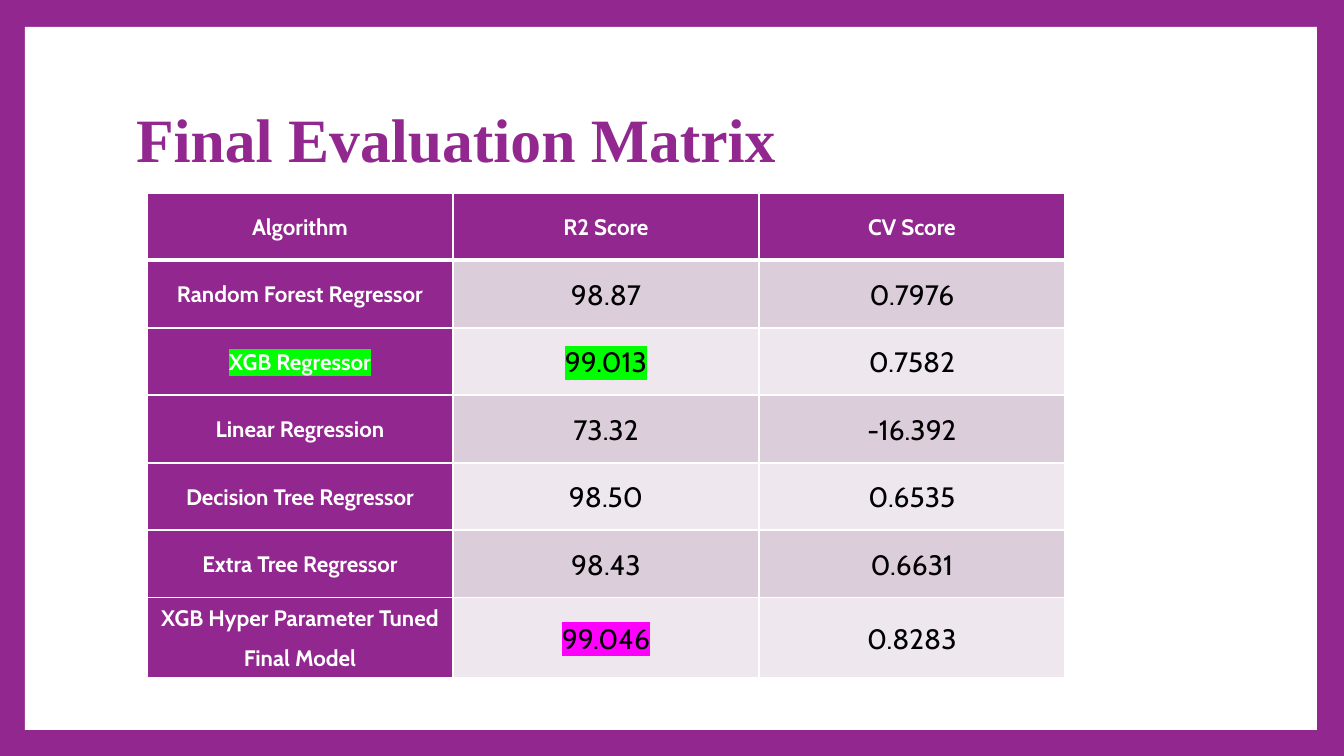
import pptx
import pptx.dml.color
import pptx.enum.shapes
import pptx.enum.text
import pptx.oxml
import pptx.oxml.ns
import pptx.util

TITLE = "Final Evaluation Matrix"
SCORES = [
    ("Algorithm", "R2 Score", "CV Score"),
    ("Random Forest Regressor", "98.87", "0.7976"),
    ("XGB Regressor", "99.013", "0.7582"),
    ("Linear Regression", "73.32", "-16.392"),
    ("Decision Tree Regressor", "98.50", "0.6535"),
    ("Extra Tree Regressor", "98.43", "0.6631"),
    ("XGB Hyper Parameter Tuned\nFinal Model", "99.046", "0.8283"),
]
HIGHLIGHTS = {(2, 0): "00FF00", (2, 1): "00FF00", (6, 1): "FF00FF"}
PURPLE, WHITE, BLACK = "92278F", "FFFFFF", "000000"
BANDS = ("EEE8EE", "DCCDDB")
PANEL_BOX = (25, 27, 1292, 703)
TITLE_BOX = (126, 68, 1089, 149)
TABLE_LEFT, TABLE_TOP, COLUMN_WIDTH = 147, 193, 306
ROW_HEIGHTS = [67, 68] * 3 + [80]
CELL_INSET = 4


def px(length):
    return pptx.util.Emu(round(length * 914400 / 100.8))


def color(code):
    return pptx.dml.color.RGBColor.from_string(code)


def paint(fill, code):
    fill.solid()
    fill.fore_color.rgb = color(code)


def style(span, font, size, code, bold):
    span.font.name = font
    span.font.size = pptx.util.Pt(size)
    span.font.color.rgb = color(code)
    span.font.bold = bold


def highlight(span, code):
    mark = pptx.oxml.parse_xml(
        f'<a:highlight {pptx.oxml.ns.nsdecls("a")}><a:srgbClr val="{code}"/></a:highlight>')
    span.font.fill._xPr.find(pptx.oxml.ns.qn("a:solidFill")).addnext(mark)


def add_borders(cell, widths):
    properties = cell._tc.get_or_add_tcPr()
    for index, (side, width) in enumerate(widths.items()):
        border = pptx.oxml.parse_xml(
            f'<a:ln{side} {pptx.oxml.ns.nsdecls("a")} w="{pptx.util.Pt(width)}">'
            f'<a:solidFill><a:srgbClr val="{WHITE}"/></a:solidFill></a:ln{side}>')
        properties.insert(index, border)


def fill_cell(cell, row, column):
    heading = row == 0 or column == 0
    cell.text_frame.text = SCORES[row][column]
    cell.vertical_anchor = pptx.enum.text.MSO_ANCHOR.MIDDLE
    cell.margin_left = cell.margin_right = px(CELL_INSET)
    cell.margin_top = cell.margin_bottom = 0
    paint(cell.fill, PURPLE if heading else BANDS[row % 2])
    add_borders(cell, {"L": 1, "R": 1, "T": 3 if row == 1 else 1, "B": 3 if row == 0 else 1})
    for para in cell.text_frame.paragraphs:
        para.alignment = pptx.enum.text.PP_ALIGN.CENTER
        para.line_spacing = 1.07
        para.space_after = pptx.util.Pt(8)
        for span in para.runs:
            style(span, "Cabin", 16 if heading else 20, WHITE if heading else BLACK, heading)
            if (row, column) in HIGHLIGHTS:
                highlight(span, HIGHLIGHTS[row, column])


def add_panel(page):
    panel = page.shapes.add_shape(
        pptx.enum.shapes.MSO_SHAPE.RECTANGLE, *map(px, PANEL_BOX))
    panel.shadow.inherit = False
    paint(panel.fill, WHITE)
    panel.line.fill.background()
    page.shapes.title._element.addprevious(panel._element)


def add_title(page):
    title = page.shapes.title
    title.left, title.top, title.width, title.height = map(px, TITLE_BOX)
    title.text_frame.text = TITLE
    title.text_frame.vertical_anchor = pptx.enum.text.MSO_ANCHOR.MIDDLE
    para = title.text_frame.paragraphs[0]
    para.alignment = pptx.enum.text.PP_ALIGN.LEFT
    para.line_spacing = 0.9
    style(para.runs[0], "Times New Roman", 44, PURPLE, True)


def add_scores(page):
    columns = len(SCORES[0])
    table = page.shapes.add_table(
        len(SCORES), columns, px(TABLE_LEFT), px(TABLE_TOP),
        px(COLUMN_WIDTH * columns), px(sum(ROW_HEIGHTS))).table
    for column in table.columns:
        column.width = px(COLUMN_WIDTH)
    for row, height in zip(table.rows, ROW_HEIGHTS):
        row.height = px(height)
    for row in range(len(SCORES)):
        for column in range(columns):
            fill_cell(table.cell(row, column), row, column)


def main():
    deck = pptx.Presentation()
    deck.slide_width, deck.slide_height = px(1344), px(756)
    page = deck.slides.add_slide(deck.slide_layouts[5])
    paint(page.background.fill, PURPLE)
    add_panel(page)
    add_title(page)
    add_scores(page)
    deck.save("out.pptx")


if __name__ == "__main__":
    main()
